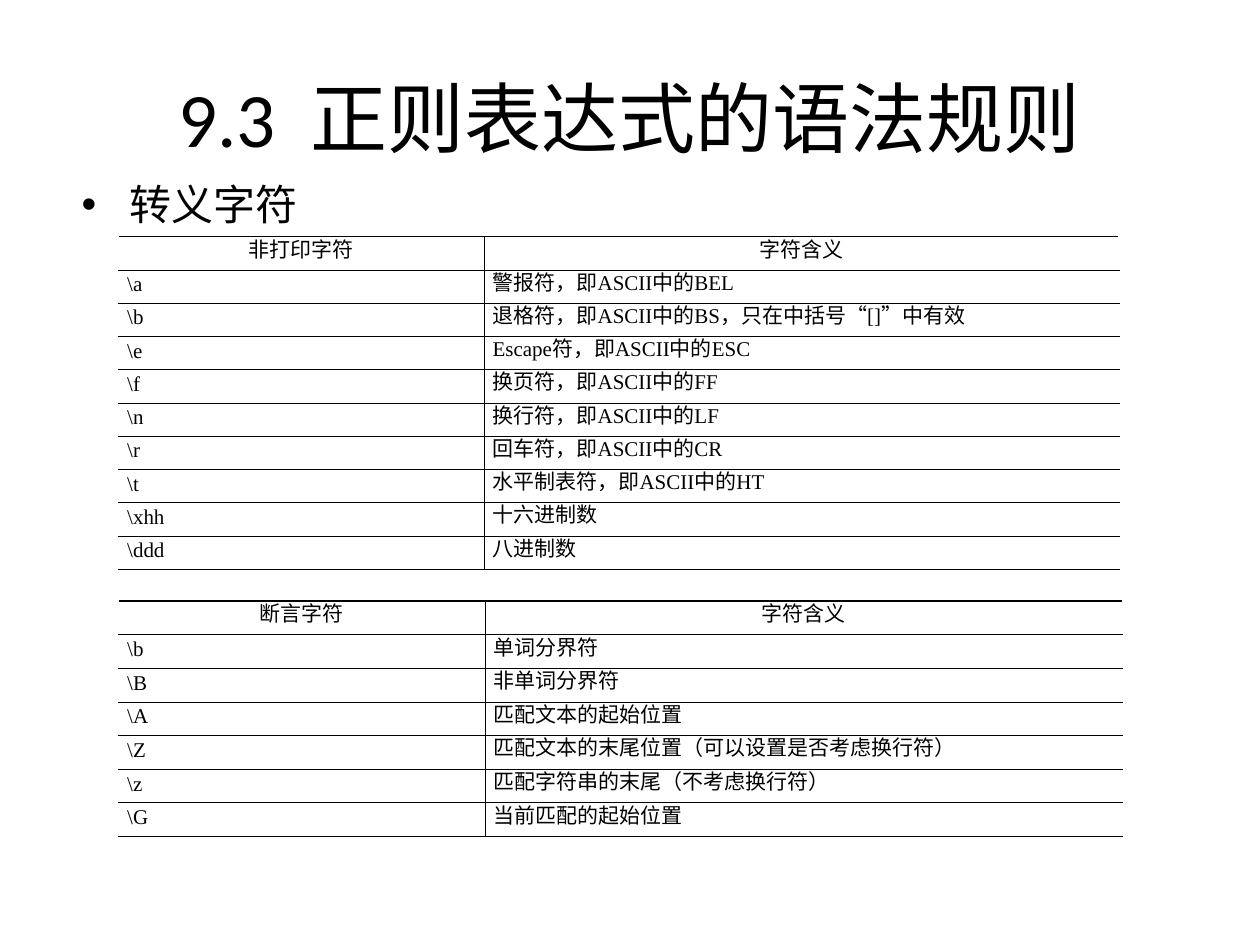
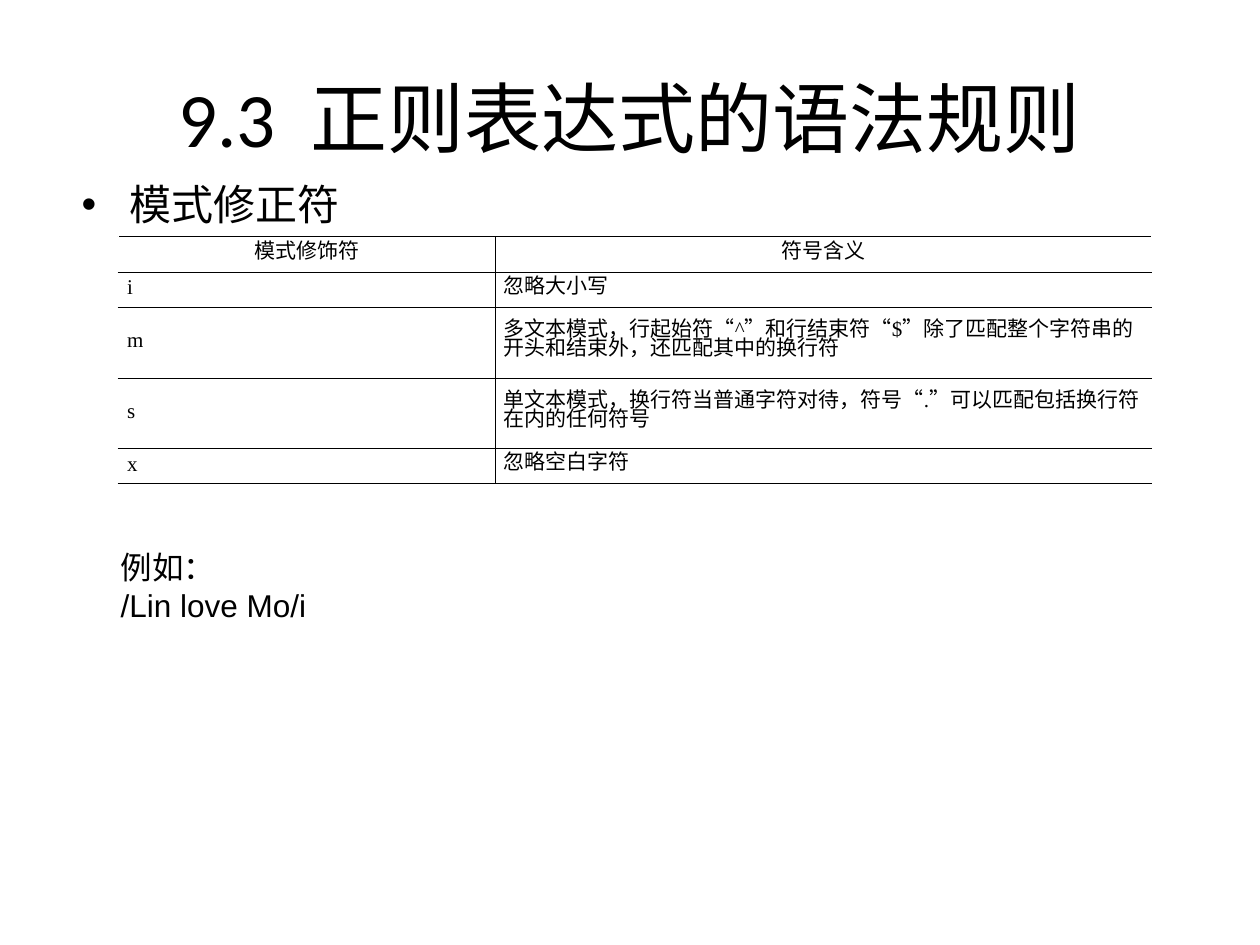
"""Build two slides on the syntax rules of regular expressions."""
from dataclasses import dataclass

from lxml.etree import SubElement
from pptx import Presentation
from pptx.dml.color import RGBColor
from pptx.enum.text import MSO_ANCHOR, PP_ALIGN
from pptx.oxml.ns import qn
from pptx.util import Inches, Pt


@dataclass(frozen=True)
class Theme:
    ink: str = "000000"
    title_font: str = "Calibri"
    body_font: str = "Arial"
    table_font: str = "Times New Roman"
    title_size: float = 44
    topic_size: float = 24
    example_size: float = 18
    table_size: float = 12
    table_leading: float = 11
    outer_rule: float = 0.75
    inner_rule: float = 0.45


class Deck:
    def __init__(self, theme):
        self.theme = theme
        self.presentation = Presentation()
        self.presentation.slide_width = Inches(10)
        self.presentation.slide_height = Inches(7.5)
        self.slide = None

    def add_slide(self, title, topic):
        layout = self.presentation.slide_layouts[6]
        self.slide = self.presentation.slides.add_slide(layout)
        self.add_title(title)
        self.add_topic(topic)

    def add_run(self, paragraph, text, font_name, size):
        run = paragraph.add_run()
        run.text = text
        run.font.name = font_name
        run.font.size = Pt(size)
        run.font.color.rgb = RGBColor.from_string(self.theme.ink)

    def add_text(self, lines, left, top, width, height, font_name, size):
        shape = self.slide.shapes.add_textbox(
            Inches(left), Inches(top), Inches(width), Inches(height))
        frame = shape.text_frame
        frame.word_wrap = True
        for index, line in enumerate(lines):
            paragraph = frame.add_paragraph() if index else frame.paragraphs[0]
            self.add_run(paragraph, line, font_name, size)
        return frame

    def add_title(self, title):
        frame = self.add_text([title], 0.5, 0.3, 9, 1.25,
                              self.theme.title_font, self.theme.title_size)
        frame.vertical_anchor = MSO_ANCHOR.MIDDLE
        frame.paragraphs[0].alignment = PP_ALIGN.CENTER

    def add_topic(self, topic):
        frame = self.add_text([topic], 0.55, 1.37, 5.78, 0.5,
                              self.theme.body_font, self.theme.topic_size)
        properties = frame.paragraphs[0]._p.get_or_add_pPr()
        properties.set("marL", str(Inches(0.38)))
        properties.set("indent", str(-Inches(0.38)))
        SubElement(properties, qn("a:buFont"), typeface=self.theme.body_font)
        SubElement(properties, qn("a:buChar"), char="•")

    def add_example(self, lines, top):
        self.add_text(lines, 0.86, top, 5, 0.7,
                      self.theme.body_font, self.theme.example_size)

    def add_rule(self, cell, side, width):
        line = SubElement(cell._tc.get_or_add_tcPr(), qn(f"a:ln{side}"),
                          w=str(Pt(width)))
        fill = SubElement(line, qn("a:solidFill"))
        SubElement(fill, qn("a:srgbClr"), val=self.theme.ink)

    def add_table(self, rows, top, column_widths, unit_height, tall_rows=()):
        heights = [unit_height * (2 if index in tall_rows else 1)
                   for index in range(len(rows))]
        table = self.slide.shapes.add_table(
            len(rows), len(column_widths), Inches(0.94), Inches(top),
            Inches(sum(column_widths)), Inches(sum(heights))).table
        table.first_row = table.horz_banding = False
        for column, width in zip(table.columns, column_widths):
            column.width = Inches(width)
        for row_index, texts in enumerate(rows):
            table.rows[row_index].height = Inches(heights[row_index])
            for column_index, text in enumerate(texts):
                cell = table.cell(row_index, column_index)
                self.fill_cell(cell, text, row_index == 0)
                self.rule_cell(cell, column_index == 0, row_index == 0,
                               row_index == len(rows) - 1)

    def fill_cell(self, cell, text, is_header):
        cell.vertical_anchor = MSO_ANCHOR.MIDDLE
        cell.margin_left = cell.margin_right = Inches(0.07)
        cell.margin_top = cell.margin_bottom = Inches(0.05)
        paragraph = cell.text_frame.paragraphs[0]
        paragraph.line_spacing = Pt(self.theme.table_leading)
        paragraph.alignment = PP_ALIGN.CENTER if is_header else PP_ALIGN.LEFT
        self.add_run(paragraph, text, self.theme.table_font,
                     self.theme.table_size)

    def rule_cell(self, cell, is_left, is_first, is_last):
        inner, outer = self.theme.inner_rule, self.theme.outer_rule
        self.add_rule(cell, "R" if is_left else "L", inner)
        self.add_rule(cell, "T", outer if is_first else inner)
        self.add_rule(cell, "B", outer if is_last else inner)
        cell.fill.background()


TITLE = "9.3  正则表达式的语法规则"

NON_PRINTING = [
    ("非打印字符", "字符含义"),
    (r"\a", "警报符，即ASCII中的BEL"),
    (r"\b", "退格符，即ASCII中的BS，只在中括号“[]”中有效"),
    (r"\e", "Escape符，即ASCII中的ESC"),
    (r"\f", "换页符，即ASCII中的FF"),
    (r"\n", "换行符，即ASCII中的LF"),
    (r"\r", "回车符，即ASCII中的CR"),
    (r"\t", "水平制表符，即ASCII中的HT"),
    (r"\xhh", "十六进制数"),
    (r"\ddd", "八进制数"),
]

ASSERTIONS = [
    ("断言字符", "字符含义"),
    (r"\b", "单词分界符"),
    (r"\B", "非单词分界符"),
    (r"\A", "匹配文本的起始位置"),
    (r"\Z", "匹配文本的末尾位置（可以设置是否考虑换行符）"),
    (r"\z", "匹配字符串的末尾（不考虑换行符）"),
    (r"\G", "当前匹配的起始位置"),
]

MODIFIERS = [
    ("模式修饰符", "符号含义"),
    ("i", "忽略大小写"),
    ("m", "多文本模式，行起始符“^”和行结束符“$”除了匹配整个字符串的开头和结束外，"
          "还匹配其中的换行符"),
    ("s", "单文本模式，换行符当普通字符对待，符号“.”可以匹配包括换行符在内的任何符号"),
    ("x", "忽略空白字符"),
]


def main():
    deck = Deck(Theme())

    deck.add_slide(TITLE, "转义字符")
    deck.add_table(NON_PRINTING, 1.88, (2.9, 5.04), 2.64 / 10)
    deck.add_table(ASSERTIONS, 4.77, (2.91, 5.06), 1.87 / 7)

    deck.add_slide(TITLE, "模式修正符")
    deck.add_table(MODIFIERS, 1.88, (2.99, 5.21), 0.28, tall_rows=(2, 3))
    deck.add_example(["例如：", "/Lin love Mo/i"], 4.3)

    deck.presentation.save("out.pptx")


if __name__ == "__main__":
    main()
